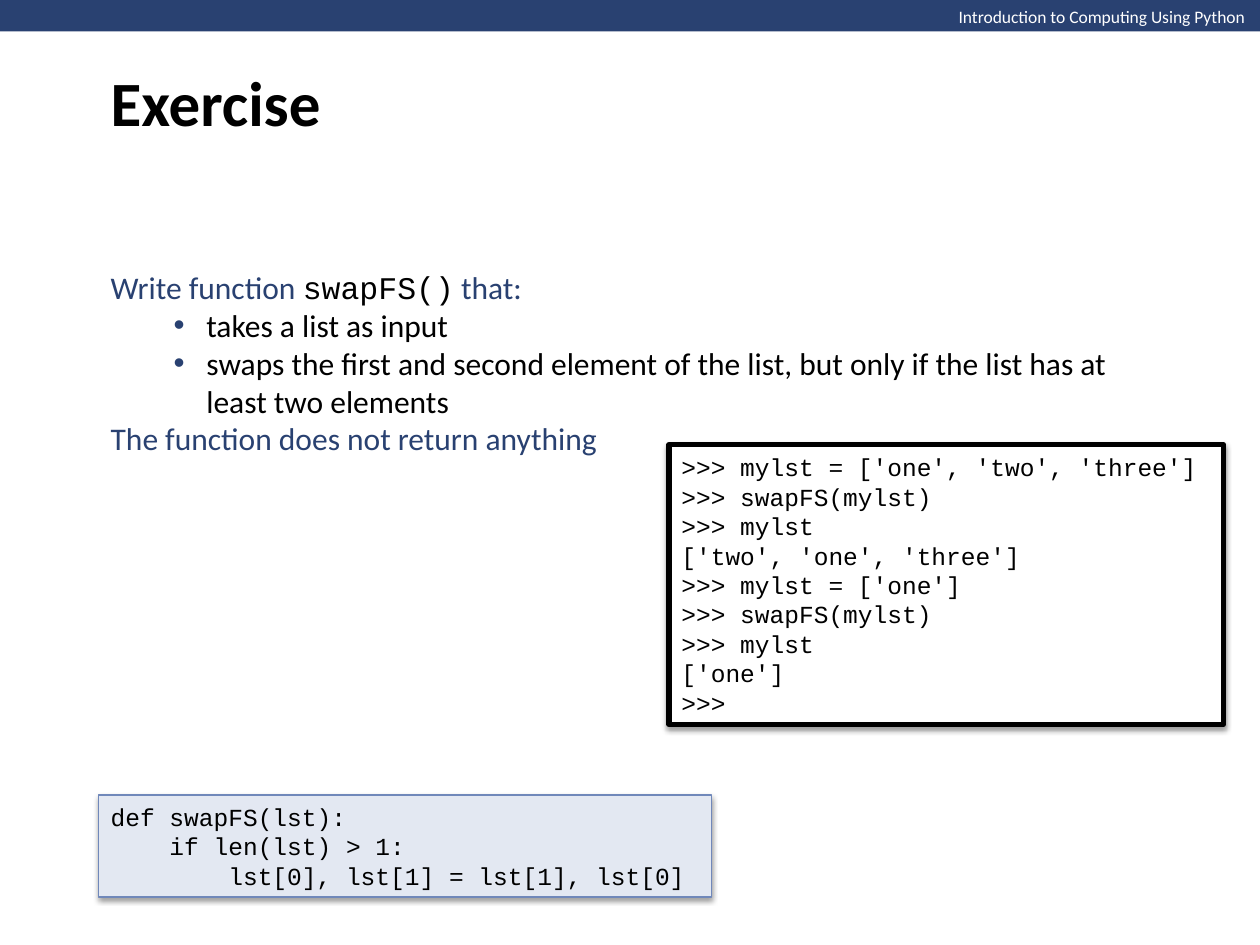
from dataclasses import dataclass

from lxml.etree import SubElement
from pptx import Presentation
from pptx.dml.color import RGBColor
from pptx.enum.shapes import MSO_SHAPE as Shape
from pptx.enum.text import MSO_ANCHOR as Anchor
from pptx.oxml.ns import qn
from pptx.util import Inches, Pt


@dataclass(frozen=True)
class Theme:
    navy: str = "294171"
    black: str = "000000"
    white: str = "FFFFFF"
    pale_blue: str = "E3E8F2"
    mid_blue: str = "7088BA"
    sans: str = "Calibri"
    mono: str = "Courier New"
    header_size: int = 10
    code_size: int = 14
    body_size: int = 18
    title_size: int = 36


THEME = Theme()


class SlideBuilder:
    def __init__(self, slide, theme):
        self.slide = slide
        self.theme = theme

    def style_font(self, font, size, color, name=None, bold=False):
        font.size = Pt(size)
        font.name = name or self.theme.sans
        font.bold = bold
        font.color.rgb = RGBColor.from_string(color)

    def rectangle(self, box, fill, line=None, line_width=0):
        shape = self.slide.shapes.add_shape(Shape.RECTANGLE, *map(Inches, box))
        shape.shadow.inherit = False
        shape.fill.solid()
        shape.fill.fore_color.rgb = RGBColor.from_string(fill)
        if line:
            shape.line.color.rgb = RGBColor.from_string(line)
            shape.line.width = Pt(line_width)
        else:
            shape.line.fill.background()
        return shape

    def text_box(self, box, wrap=True, anchor=Anchor.TOP):
        frame = self.slide.shapes.add_textbox(*map(Inches, box)).text_frame
        frame.word_wrap = wrap
        frame.vertical_anchor = anchor
        return frame

    def label(self, box, text, size, color, bold=False, **layout):
        paragraph = self.text_box(box, **layout).paragraphs[0]
        paragraph.text = text
        self.style_font(paragraph.font, size, color, bold=bold)

    def drop_shadow(self, shape):
        effects = shape._element.spPr.find(qn("a:effectLst"))
        shadow = SubElement(effects, qn("a:outerShdw"), blurRad=str(Pt(3.1)),
                            dist=str(Pt(1.6)), dir="5400000", rotWithShape="0")
        color = SubElement(shadow, qn("a:srgbClr"), val=self.theme.black)
        SubElement(color, qn("a:alpha"), val="38000")

    def code_box(self, box, code, fill, line, line_width):
        shape = self.rectangle(box, fill, line, line_width)
        self.drop_shadow(shape)
        frame = shape.text_frame
        frame.word_wrap = True
        frame.vertical_anchor = Anchor.MIDDLE
        frame.text = "\n".join(code)
        for paragraph in frame.paragraphs:
            paragraph.alignment = 1  # left
            self.style_font(paragraph.font, self.theme.code_size,
                            self.theme.black, self.theme.mono)

    def indent(self, paragraph, left, hanging):
        properties = paragraph._p.get_or_add_pPr()
        properties.set("marL", str(Inches(left)))
        properties.set("indent", str(-Inches(hanging)))
        return properties

    def bullet(self, paragraph):
        paragraph.level = 1
        properties = self.indent(paragraph, 0.76, 0.26)
        color = SubElement(properties, qn("a:buClr"))
        SubElement(color, qn("a:srgbClr"), val=self.theme.navy)
        SubElement(properties, qn("a:buFont"), typeface="Arial")
        SubElement(properties, qn("a:buChar"), char="•")

    def task(self, box, intro, bullets, closing):
        theme = self.theme
        frame = self.text_box(box)

        # Opening line mixes prose and code
        opening = frame.paragraphs[0]
        self.indent(opening, 0.5, 0.5)
        for text, color, name in intro:
            run = opening.add_run()
            run.text = text
            self.style_font(run.font, theme.body_size, color, name)

        for text in bullets:
            paragraph = frame.add_paragraph()
            paragraph.text = text
            self.bullet(paragraph)
            self.style_font(paragraph.font, theme.body_size, theme.black)

        last = frame.add_paragraph()
        last.text = closing
        self.indent(last, 0.5, 0.5)
        self.style_font(last.font, theme.body_size, theme.navy)


def main():
    presentation = Presentation()
    presentation.slide_width = Inches(10)
    presentation.slide_height = Inches(7.5)
    slide = presentation.slides.add_slide(presentation.slide_layouts[6])
    builder = SlideBuilder(slide, THEME)

    # Header band and title
    builder.rectangle((0, 0, 10.01, 0.25), THEME.navy)
    builder.label((7.51, 0, 2.5, 0.27), "Introduction to Computing Using Python",
                  THEME.header_size, THEME.white, wrap=False)
    builder.label((0.78, 0, 8.5, 1.61), "Exercise", THEME.title_size,
                  THEME.black, bold=True, anchor=Anchor.MIDDLE)

    # Interactive session
    session = [
        ">>> mylst = ['one', 'two', 'three']",
        ">>> swapFS(mylst)",
        ">>> mylst",
        "['two', 'one', 'three']",
        ">>> mylst = ['one']",
        ">>> swapFS(mylst)",
        ">>> mylst",
        "['one']",
        ">>>",
    ]
    builder.code_box((5.31, 3.53, 4.4, 2.22), session,
                     THEME.white, THEME.black, 3)

    # Task description
    builder.task(
        (0.78, 2.08, 8.5, 1.62),
        intro=[("Write function ", THEME.navy, THEME.sans),
               ("swapFS()", THEME.black, THEME.mono),
               (" that:", THEME.navy, THEME.sans)],
        bullets=["takes a list as input",
                 "swaps the first and second element of the list, "
                 "but only if the list has at least two elements"],
        closing="The function does not return anything",
    )

    # Solution
    solution = [
        "def swapFS(lst):",
        "    if len(lst) > 1:",
        "        lst[0], lst[1] = lst[1], lst[0]",
    ]
    builder.code_box((0.78, 6.31, 4.87, 0.81), solution,
                     THEME.pale_blue, THEME.mid_blue, 0.75)

    presentation.save("out.pptx")


if __name__ == "__main__":
    main()
